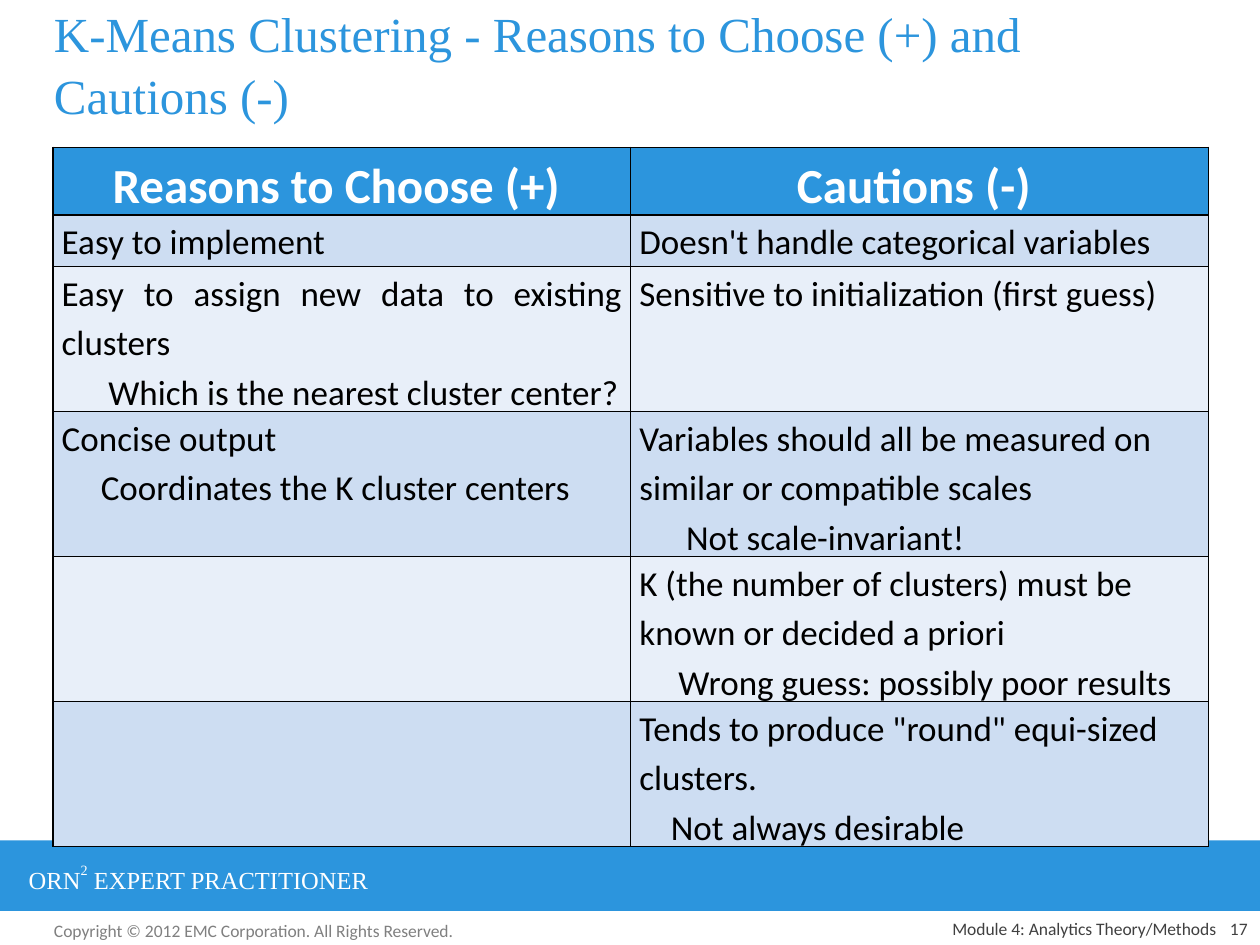
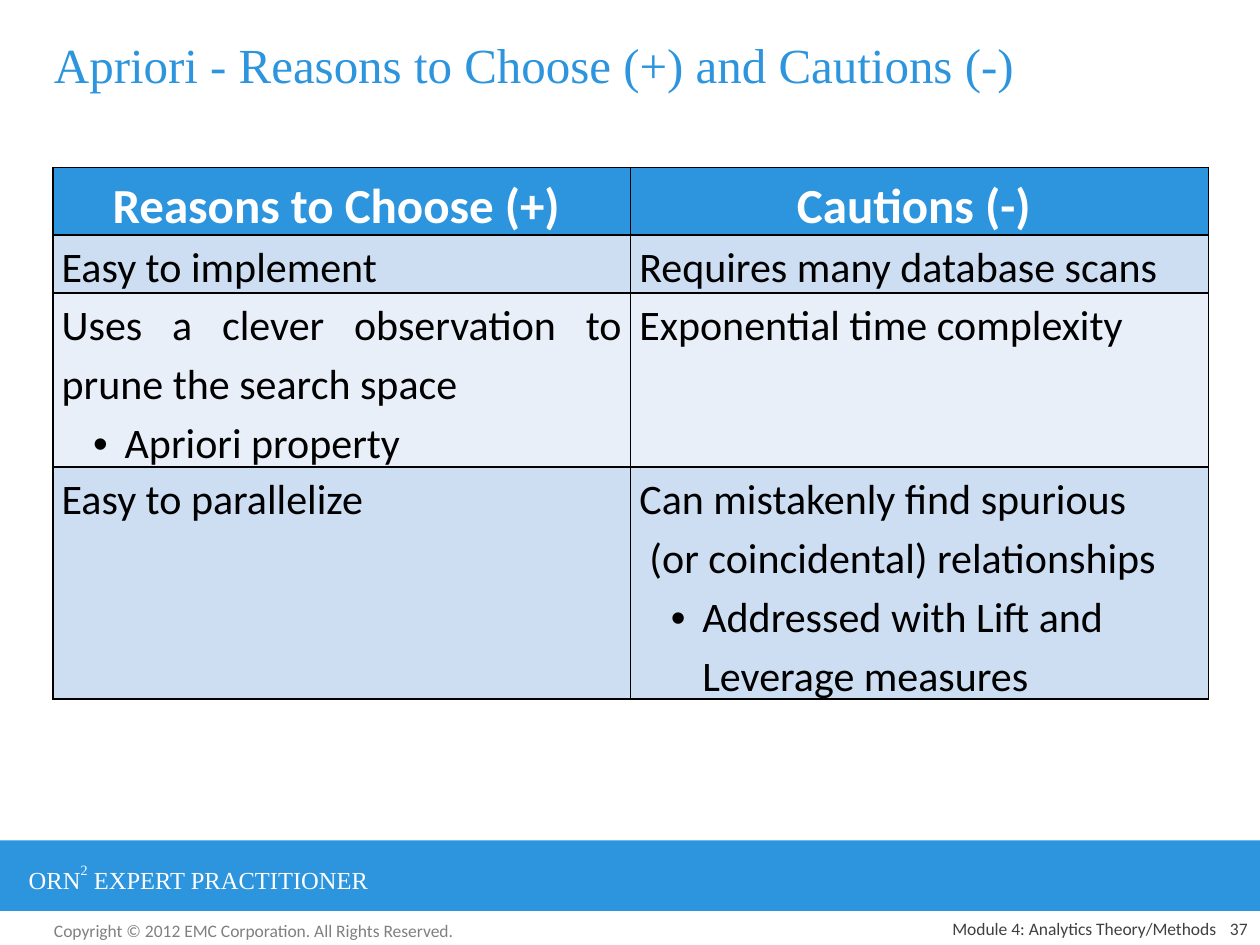
from dataclasses import dataclass

from lxml import etree
from pptx import Presentation
from pptx.dml.color import RGBColor
from pptx.enum.shapes import MSO_SHAPE
from pptx.enum.text import MSO_ANCHOR, PP_ALIGN
from pptx.oxml.ns import qn
from pptx.util import Inches, Pt

LEFT, CENTER, RIGHT, JUSTIFY = PP_ALIGN.LEFT, PP_ALIGN.CENTER, PP_ALIGN.RIGHT, PP_ALIGN.JUSTIFY
TOP, MIDDLE, BOTTOM = MSO_ANCHOR.TOP, MSO_ANCHOR.MIDDLE, MSO_ANCHOR.BOTTOM
RECTANGLE = MSO_SHAPE.RECTANGLE

# A cell is a list of paragraphs: plain text, (text, indent) or (text, "bullet").
HEADERS = ("Reasons to Choose (+)", "Cautions (-)")
SLIDES = [
    {
        "title": "K-Means Clustering - Reasons to Choose (+) and Cautions (-)",
        "number": "17",
        "table_top": 1.17,
        "body_size": 20,
        "rows": [
            (["Easy to implement"], ["Doesn't handle categorical variables"]),
            (["Easy to assign new data to existing clusters",
              ("Which is the nearest cluster center?", 0.37)],
             ["Sensitive to initialization (first guess)"]),
            (["Concise output", ("Coordinates the K cluster centers", 0.31)],
             ["Variables should all be measured on similar or compatible scales",
              ("Not scale-invariant!", 0.37)]),
            ([], ["K (the number of clusters) must be known or decided a priori",
                  ("Wrong guess: possibly poor results", 0.31)]),
            ([], ['Tends to produce "round" equi-sized clusters.',
                  ("Not always desirable", 0.25)]),
        ],
    },
    {
        "title": "Apriori - Reasons to Choose (+) and Cautions (-)",
        "number": "37",
        "table_top": 1.33,
        "body_size": 24,
        "rows": [
            (["Easy to implement"], ["Requires many database scans"]),
            (["Uses a clever observation to prune the search space",
              ("Apriori property", "bullet")],
             ["Exponential time complexity"]),
            (["Easy to parallelize"],
             ["Can mistakenly find spurious",
              ("(or coincidental) relationships", 0.08),
              ("Addressed with Lift and Leverage measures", "bullet")]),
        ],
    },
]
COPYRIGHT = "Copyright © 2012 EMC Corporation. All Rights Reserved."
MODULE = "Module 4: Analytics Theory/Methods"
BAND_RUNS = [("ORN", 0), ("2", 56), (" EXPERT PRACTITIONER", 0)]


@dataclass(frozen=True)
class Theme:
    blue: str = "2C95DD"
    white: str = "FFFFFF"
    black: str = "000000"
    gray: str = "808080"
    dark_gray: str = "404040"
    row_fills: tuple = ("CDDDF2", "E8EFF9")
    serif: str = "Times New Roman"
    sans: str = "Calibri"
    heading_size: int = 28
    band_size: int = 14
    footer_size: int = 10
    title_spacing: float = 1.05
    cell_spacing: float = 1.15


THEME = Theme()
TITLE_FONT = {"name": THEME.serif, "size": THEME.heading_size, "color": THEME.blue}
HEADER_FONT = {"name": THEME.sans, "size": THEME.heading_size, "color": THEME.white, "bold": True}
BAND_FONT = {"name": THEME.serif, "size": THEME.band_size, "color": THEME.white}
COPYRIGHT_FONT = {"name": THEME.sans, "size": THEME.footer_size, "color": THEME.gray}
FOOTER_FONT = {**COPYRIGHT_FONT, "color": THEME.dark_gray}


def set_font(font, values):
    for name, value in values.items():
        if name == "color":
            font.color.rgb = RGBColor.from_string(value)
        else:
            setattr(font, name, Pt(value) if name == "size" else value)


def add_text(slide, box, runs, font, align=LEFT, anchor=TOP, spacing=1.0):
    """Add a one-paragraph text box; runs are (text, baseline percent) pairs."""
    frame = slide.shapes.add_textbox(*map(Inches, box)).text_frame
    frame.word_wrap = True
    frame.vertical_anchor = anchor
    paragraph = frame.paragraphs[0]
    paragraph.alignment = align
    paragraph.line_spacing = spacing
    for text, baseline in runs:
        run = paragraph.add_run()
        run.text = text
        set_font(run.font, font)
        if baseline:
            run.font._element.set("baseline", str(baseline * 1000))


def add_frame(slide, title, number):
    """Add the band, footers and title that every slide shares."""
    add_text(slide, (0.33, 7.25, 3.42, 0.27), [(COPYRIGHT, 0)], COPYRIGHT_FONT)
    band = slide.shapes.add_shape(RECTANGLE, *map(Inches, (0, 6.67, 10, 0.56)))
    band.shadow.inherit = False
    band.fill.solid()
    band.fill.fore_color.rgb = RGBColor.from_string(THEME.blue)
    band.line.fill.background()
    add_text(slide, (0.13, 6.79, 3.7, 0.34), BAND_RUNS, BAND_FONT)
    add_text(slide, (0.33, 0.08, 9.25, 0.83), [(title, 0)], TITLE_FONT,
             anchor=MIDDLE, spacing=THEME.title_spacing)
    for left, width, text in ((5.17, 4.58, MODULE), (9.5, 0.5, number)):
        add_text(slide, (left, 7.25, width, 0.25), [(text, 0)], FOOTER_FONT, RIGHT, BOTTOM)


def indent_paragraph(paragraph, indent):
    properties = paragraph._p.get_or_add_pPr()
    if indent == "bullet":
        properties.set("marL", str(Inches(0.5)))
        properties.set("indent", str(-Inches(0.25)))
        etree.SubElement(properties, qn("a:buFont"), typeface="Arial")
        etree.SubElement(properties, qn("a:buChar"), char="•")
    else:
        properties.set("marL", str(Inches(indent)))


def style_cell(cell, fill, right_margin):
    margins = {"left": 0.07, "right": right_margin, "top": 0, "bottom": 0}
    for side, value in margins.items():
        setattr(cell, f"margin_{side}", Inches(value))
    properties = cell._tc.get_or_add_tcPr()
    for edge in ("a:lnL", "a:lnR", "a:lnT", "a:lnB"):
        line = etree.SubElement(properties, qn(edge), w=str(Pt(1)))
        solid = etree.SubElement(line, qn("a:solidFill"))
        etree.SubElement(solid, qn("a:srgbClr"), val=THEME.black)
    cell.fill.solid()
    cell.fill.fore_color.rgb = RGBColor.from_string(fill)


def fill_cell(cell, paragraphs, font, align):
    frame = cell.text_frame
    for index, item in enumerate(paragraphs):
        text, indent = (item, 0) if isinstance(item, str) else item
        paragraph = frame.add_paragraph() if index else frame.paragraphs[0]
        paragraph.alignment = align
        paragraph.line_spacing = THEME.cell_spacing
        if indent:
            indent_paragraph(paragraph, indent)
        run = paragraph.add_run()
        run.text = text
        set_font(run.font, font)


def add_comparison(slide, top, body_size, body_rows):
    rows = [[[header] for header in HEADERS], *body_rows]
    row_height = 0.41
    box = (0.42, top, 9.17, row_height * len(rows))
    table = slide.shapes.add_table(len(rows), len(HEADERS), *map(Inches, box)).table
    table.first_row = table.horz_banding = False
    body_font = {"name": THEME.sans, "size": body_size, "color": THEME.black, "bold": False}
    for row_index, row in enumerate(rows):
        table.rows[row_index].height = Inches(row_height)
        is_header = row_index == 0
        fill = THEME.blue if is_header else THEME.row_fills[(row_index - 1) % 2]
        font = HEADER_FONT if is_header else body_font
        aligns = (CENTER, CENTER) if is_header else (JUSTIFY, LEFT)
        for column_index, paragraphs in enumerate(row):
            cell = table.cell(row_index, column_index)
            style_cell(cell, fill, 0.16 if is_header else 0.07)
            fill_cell(cell, paragraphs, font, aligns[column_index])


def main():
    presentation = Presentation()
    presentation.slide_width, presentation.slide_height = Inches(10), Inches(7.5)
    blank_layout = presentation.slide_layouts[6]
    for content in SLIDES:
        slide = presentation.slides.add_slide(blank_layout)
        add_frame(slide, content["title"], content["number"])
        add_comparison(slide, content["table_top"], content["body_size"], content["rows"])
    presentation.save("out.pptx")


if __name__ == "__main__":
    main()
